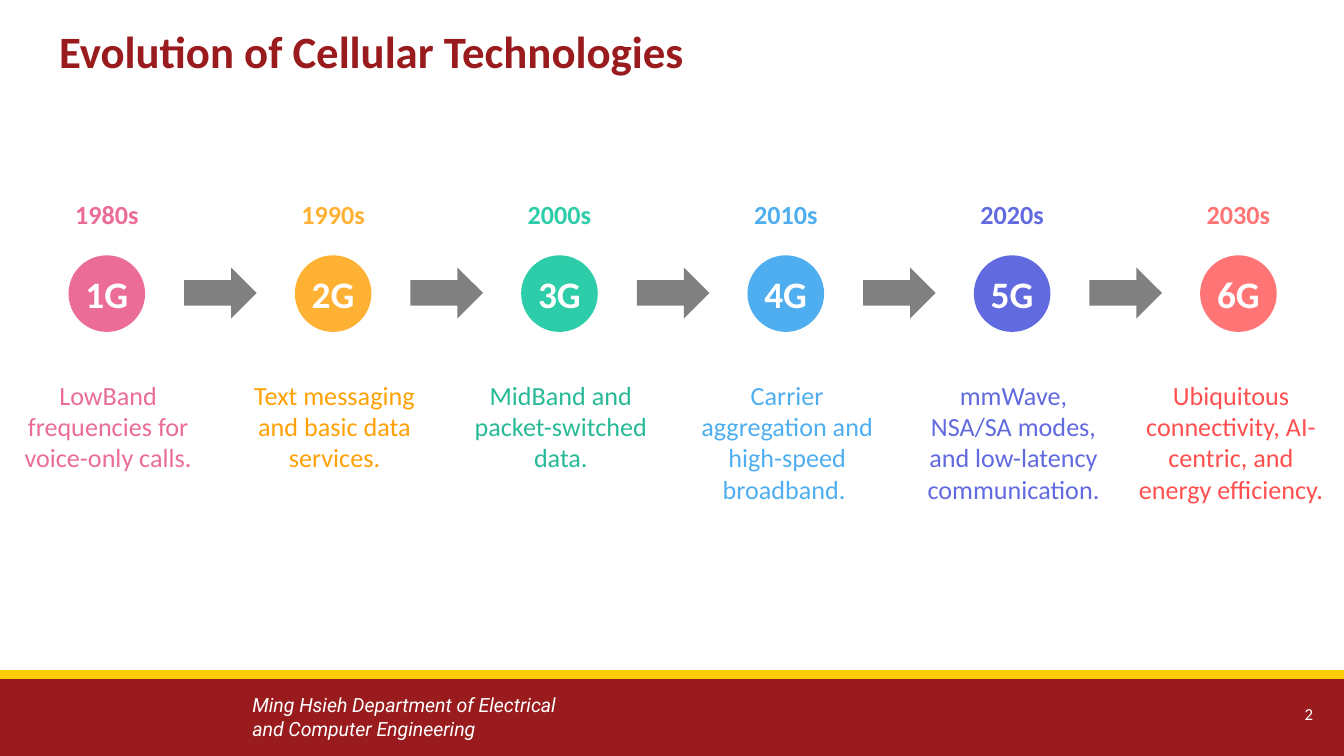
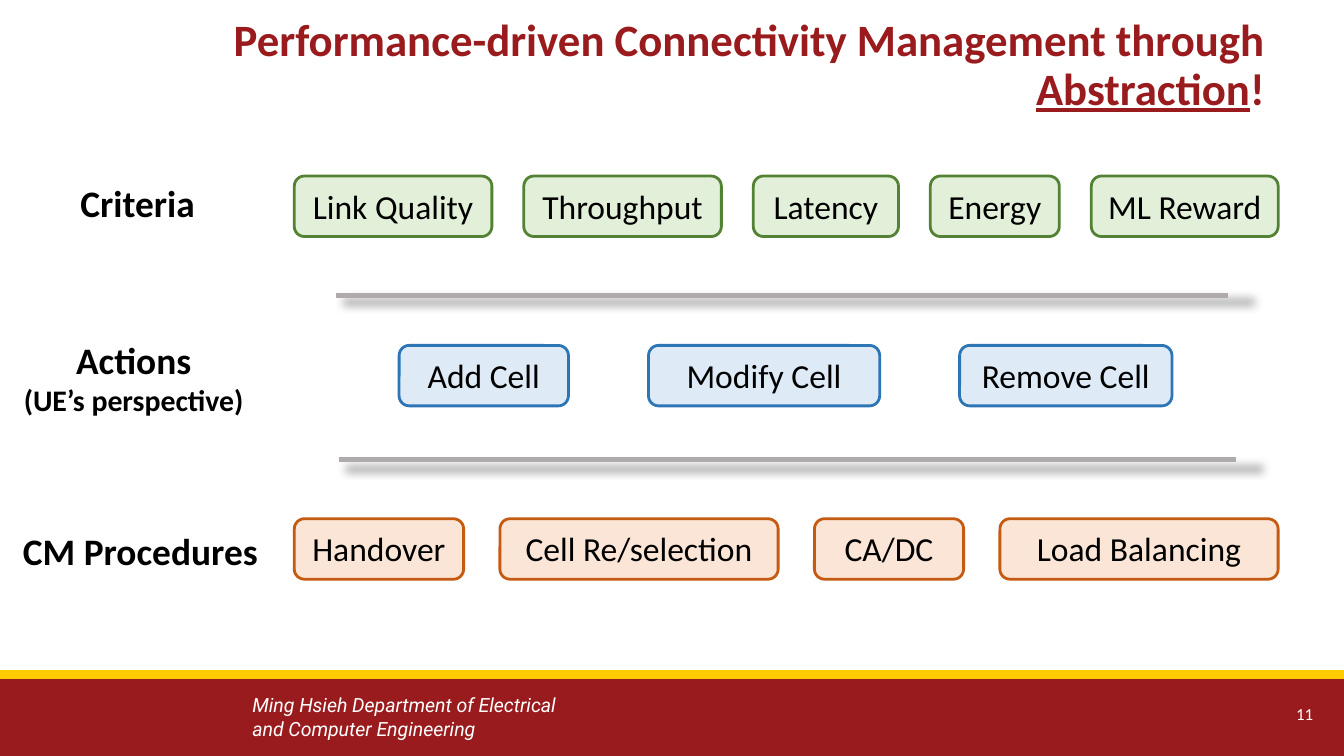
from lxml import etree
from pptx import Presentation
from pptx.dml.color import RGBColor
from pptx.enum.shapes import MSO_CONNECTOR, MSO_SHAPE
from pptx.enum.text import MSO_ANCHOR, MSO_AUTO_SIZE, PP_ALIGN
from pptx.oxml import parse_xml
from pptx.oxml.ns import nsdecls, qn
from pptx.util import Pt

EMU_PER_PX = 9144
SLIDE_W = 1000
FOOTER_TOP, FOOTER_H = 502, 61
CARDINAL, GOLD, WHITE, BLACK = "991B1D", "FFCC01", "FFFFFF", "000000"
ARROW_GRAY, DIVIDER_GRAY = "808080", "AFABAB"
BODY_FONT, FOOTER_FONT = "Calibri", "Roboto"
DEPARTMENT = "Ming Hsieh Department of Electrical and Computer Engineering"

GENERATIONS = [
    ("1980s", "1G", "EA6C97", "EA6C97", "LowBand frequencies for voice-only calls."),
    ("1990s", "2G", "FFB133", "FFA005", "Text messaging and basic data services."),
    ("2000s", "3G", "2CCDA8", "28BA97", "MidBand and packet-switched data."),
    ("2010s", "4G", "4FAEEF", "4FAEEF", "Carrier aggregation and high-speed broadband. "),
    ("2020s", "5G", "616ADF", "616ADF", "mmWave, NSA/SA modes, and low-latency communication. "),
    ("2030s", "6G", "FF7575", "FF4F4F", "Ubiquitous connectivity, AI-centric, and energy efficiency."),
]
COLUMN_PITCH = 168.4

LAYERS = [
    (["Criteria"], (39, 127, 127, 48), (219, 131, 732, 45), "E2F0D9", "548235",
     [("Link Quality", 147), ("Throughput", 147), ("Latency", 108), ("Energy", 96), ("ML Reward", 139)]),
    (["Actions", "(UE’s perspective)"], (2, 242, 195, 78), (297, 257, 575, 45), "DEEBF7", "2E75B6",
     [("Add Cell", 126), ("Modify Cell", 172), ("Remove Cell", 158)]),
    (["CM Procedures"], (2, 386, 205, 48), (219, 386, 732, 45), "FBE5D6", "C55A11",
     [("Handover", 126), ("Cell Re/selection", 207), ("CA/DC", 111), ("Load Balancing", 207)]),
]
DIVIDERS = [(250, 914, 220), (252, 920, 342)]


def px(length):
    """Turn px into EMU."""
    return round(length * EMU_PER_PX)


def rgb(code):
    """Turn a hex string into a colour."""
    return RGBColor.from_string(code)


def frame_text(frame, insets=(10, 5, 10, 5), anchor=MSO_ANCHOR.TOP, wrap=True, grow=False):
    """Set the margins, anchor and fitting of a text frame."""
    frame.auto_size = MSO_AUTO_SIZE.SHAPE_TO_FIT_TEXT if grow else MSO_AUTO_SIZE.NONE
    frame.word_wrap = wrap
    frame.vertical_anchor = anchor
    (frame.margin_left, frame.margin_top,
     frame.margin_right, frame.margin_bottom) = map(px, insets)


def style_text(paragraph, size, color, bold=False, italic=False, font=BODY_FONT, align=PP_ALIGN.LEFT):
    """Align a paragraph and format its runs."""
    paragraph.alignment = align
    for run in paragraph.runs:
        run.font.name = font
        run.font.size = Pt(size)
        run.font.bold = bold
        run.font.italic = italic
        run.font.color.rgb = rgb(color)


def add_preset(slide, preset, box, fill=None, outline=None):
    """Add a flat preset shape."""
    shape = slide.shapes.add_shape(preset, *map(px, box))
    shape.shadow.inherit = False
    if fill:
        shape.fill.solid()
        shape.fill.fore_color.rgb = rgb(fill)
    else:
        shape.fill.background()
    if outline:
        shape.line.color.rgb = rgb(outline)
        shape.line.width = Pt(1.5)
    else:
        shape.line.fill.background()
    return shape


def add_text(slide, box, text, size, color, bold=False, italic=False,
             font=BODY_FONT, align=PP_ALIGN.LEFT, **framing):
    """Add a one-paragraph text box."""
    frame = slide.shapes.add_textbox(*map(px, box)).text_frame
    frame_text(frame, **framing)
    frame.text = text
    style_text(frame.paragraphs[0], size, color, bold, italic, font, align)


def add_rule(slide, left, right, top, color, width, shadowed=False):
    """Add a horizontal line, with a soft shadow if asked."""
    rule = slide.shapes.add_connector(
        MSO_CONNECTOR.STRAIGHT, px(left), px(top), px(right), px(top))
    rule.line.color.rgb = rgb(color)
    rule.line.width = Pt(width)
    effects = etree.SubElement(rule._element.spPr, qn("a:effectLst"))
    if shadowed:
        effects.append(parse_xml(
            f'<a:outerShdw {nsdecls("a")} blurRad="63500" sx="102000" sy="102000" '
            'algn="ctr" rotWithShape="0"><a:srgbClr val="000000">'
            '<a:alpha val="40000"/></a:srgbClr></a:outerShdw>'))


def add_footer(slide, number):
    """Draw the footer band with the department and slide number."""
    add_preset(slide, MSO_SHAPE.RECTANGLE, (0, FOOTER_TOP, SLIDE_W, FOOTER_H), CARDINAL)
    add_text(slide, (178, FOOTER_TOP + 9, 270, 43), DEPARTMENT, 10.5, WHITE,
             italic=True, font=FOOTER_FONT)
    add_rule(slide, 0, SLIDE_W, FOOTER_TOP, GOLD, 4.5)
    add_text(slide, (927, FOOTER_TOP + 8, 60, 43), str(number), 9, WHITE,
             align=PP_ALIGN.RIGHT, insets=(10, 10, 10, 10), anchor=MSO_ANCHOR.MIDDLE)


def start_slide(deck, number, box, title_parts, align=PP_ALIGN.LEFT):
    """Add a slide with its footer and title; parts are (text, underlined)."""
    slide = deck.slides.add_slide(deck.slide_layouts[5])
    add_footer(slide, number)
    title = slide.shapes.title
    title.left, title.top, title.width, title.height = map(px, box)
    frame_text(title.text_frame, (10, 10, 10, 10), MSO_ANCHOR.MIDDLE)
    heading = title.text_frame.paragraphs[0]
    heading.line_spacing = 0.9
    for text, underlined in title_parts:
        run = heading.add_run()
        run.text = text
        run.font.underline = underlined
    style_text(heading, 24, CARDINAL, bold=True, align=align)
    return slide


def add_generation(slide, left, top, decade, name, color, text_color, summary, is_last):
    """Draw one timeline column from its left and top."""
    add_text(slide, (left - 5, top, 68, 34), decade, 14, color, bold=True, wrap=False, grow=True)
    badge = add_preset(slide, MSO_SHAPE.OVAL, (left, top + 47, 57, 57), color)
    frame_text(badge.text_frame, (0, 0, 0, 0), MSO_ANCHOR.MIDDLE, wrap=False)
    badge.text_frame.text = name
    style_text(badge.text_frame.paragraphs[0], 20, WHITE, bold=True, align=PP_ALIGN.CENTER)
    summary_left, summary_width = (left - 47, 140) if is_last else (left - 35, 129)
    add_text(slide, (summary_left, top + 139, summary_width, 71), summary, 14, text_color,
             align=PP_ALIGN.CENTER, insets=(0, 0, 0, 0), grow=True)
    if not is_last:
        add_preset(slide, MSO_SHAPE.RIGHT_ARROW, (left + 86, top + 56, 54, 38), ARROW_GRAY)


def add_layer(slide, heading, heading_box, row_box, fill, outline, tags):
    """Draw a heading and a row of equally spaced tags."""
    label = add_preset(slide, MSO_SHAPE.ROUNDED_RECTANGLE, heading_box)
    frame_text(label.text_frame, grow=True)
    label.text_frame.text = "\n".join(heading)
    for paragraph, size in zip(label.text_frame.paragraphs, (20, 16)):
        style_text(paragraph, size, BLACK, bold=True, align=PP_ALIGN.CENTER)
    left, top, width, height = row_box
    gap = (width - sum(tag_width for _, tag_width in tags)) / (len(tags) - 1)
    for name, tag_width in tags:
        tag = add_preset(slide, MSO_SHAPE.ROUNDED_RECTANGLE,
                         (left, top, tag_width, height), fill, outline)
        frame_text(tag.text_frame, (0, 5, 0, 5), grow=True)
        tag.text_frame.text = name
        style_text(tag.text_frame.paragraphs[0], 18, BLACK, align=PP_ALIGN.CENTER)
        left += tag_width + gap


def build_evolution(deck):
    """Build the timeline of cellular generations."""
    slide = start_slide(deck, 2, (34, 17, 494, 46),
                        [("Evolution of Cellular Technologies", False)])
    for index, generation in enumerate(GENERATIONS):
        add_generation(slide, 51 + index * COLUMN_PITCH, 143, *generation,
                       is_last=index == len(GENERATIONS) - 1)


def build_abstraction(deck):
    """Build the layers of connectivity management."""
    slide = start_slide(deck, 11, (142, 17, 809, 65),
                        [("Performance-driven Connectivity Management through ", False),
                         ("Abstraction", True), ("!", False)], PP_ALIGN.RIGHT)
    for layer in LAYERS:
        add_layer(slide, *layer)
    for left, right, top in DIVIDERS:
        add_rule(slide, left, right, top, DIVIDER_GRAY, 3, shadowed=True)


def main():
    """Build and save the deck."""
    deck = Presentation()
    deck.slide_width = px(SLIDE_W)
    deck.slide_height = px(SLIDE_W) * 9 // 16
    build_evolution(deck)
    build_abstraction(deck)
    deck.save("out.pptx")


if __name__ == "__main__":
    main()
